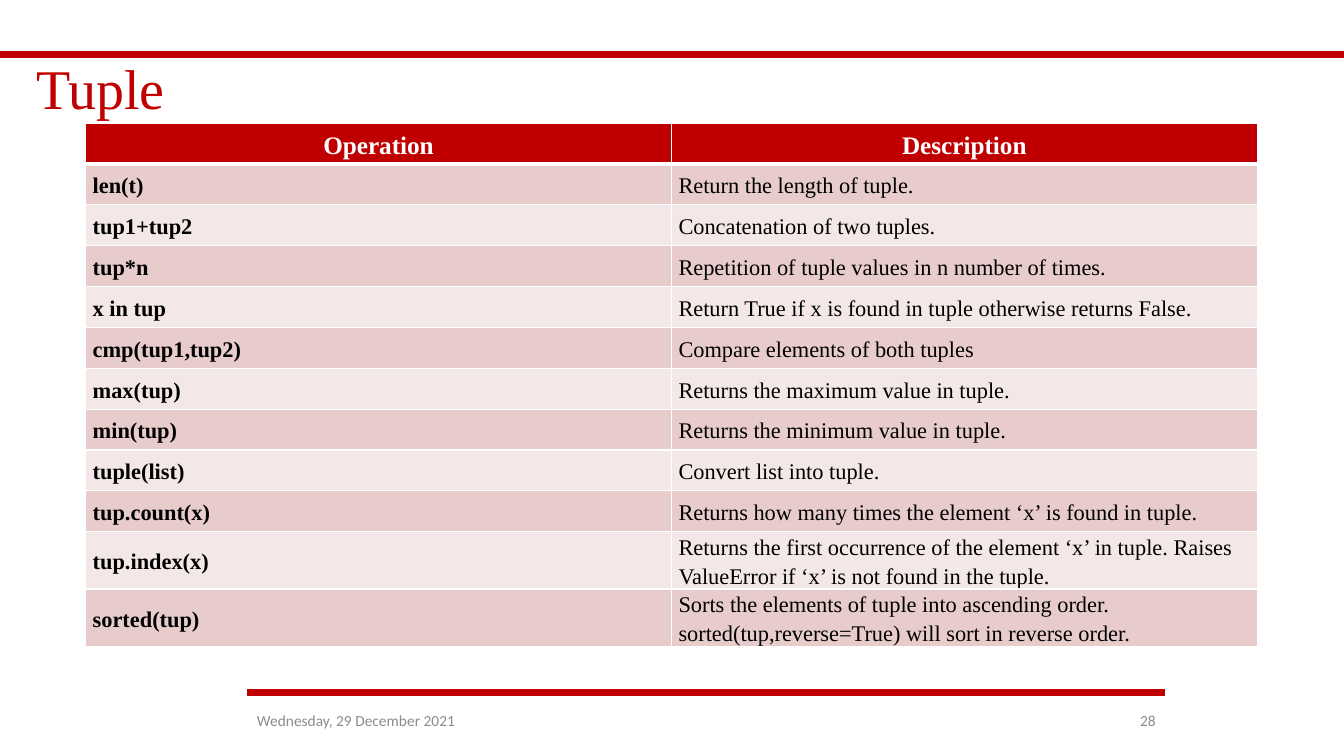
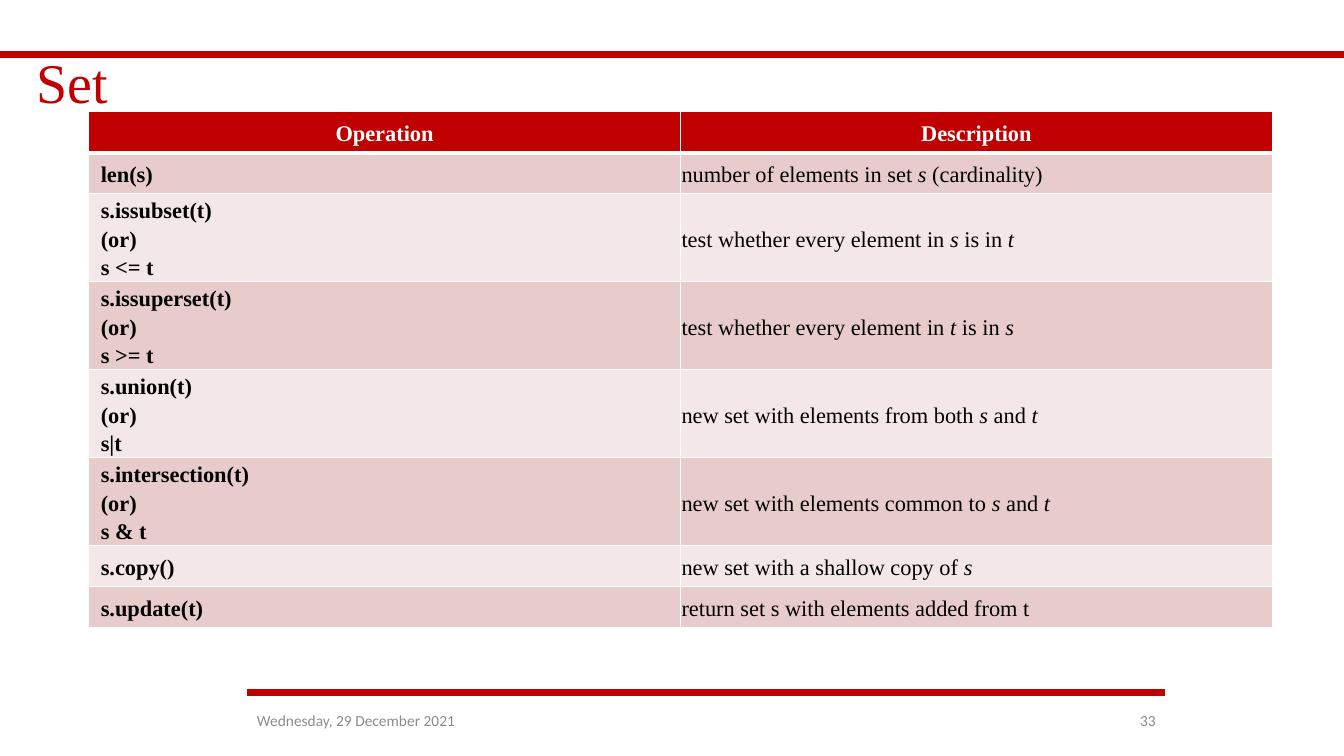
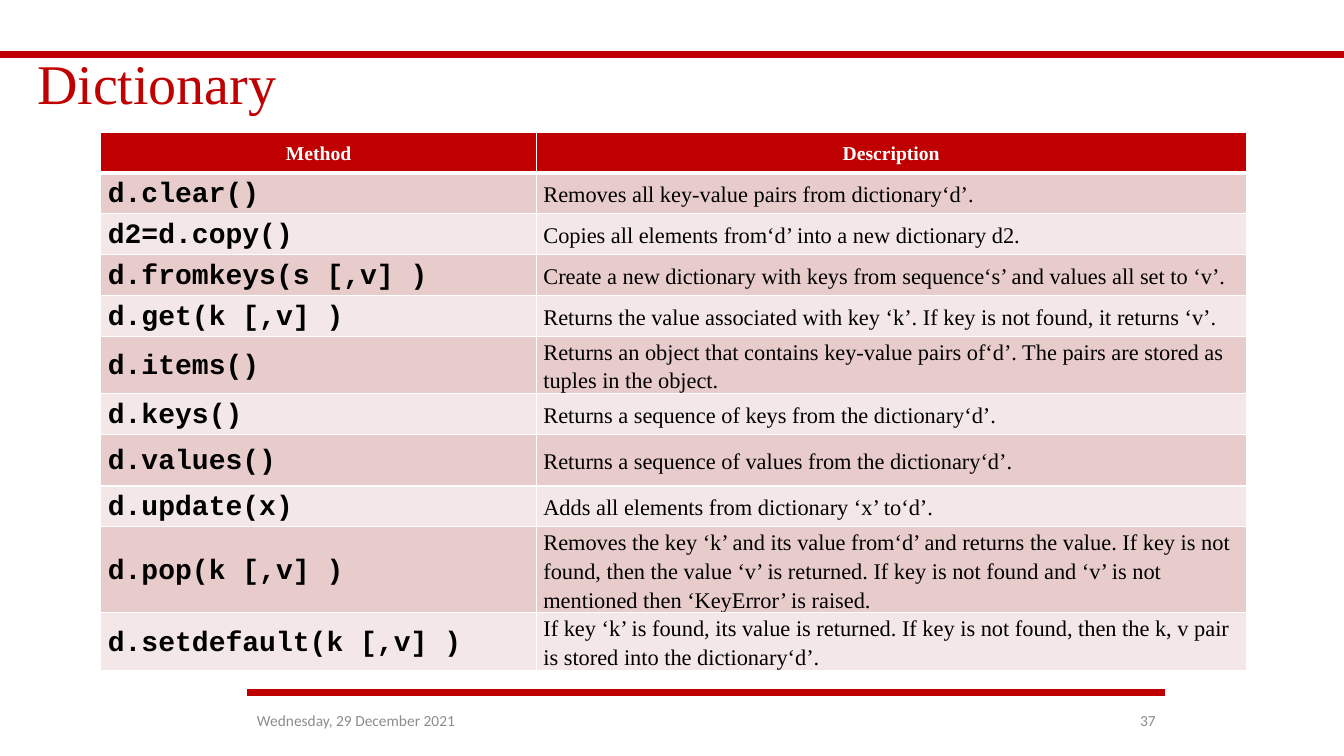
from dataclasses import dataclass

from lxml.etree import SubElement
from pptx import Presentation
from pptx.dml.color import RGBColor
from pptx.enum.shapes import MSO_CONNECTOR as Connector
from pptx.enum.text import MSO_ANCHOR as Anchor, PP_ALIGN as Align
from pptx.oxml.ns import qn
from pptx.util import Inches, Pt


@dataclass(frozen=True)
class Theme:
    accent: str = "C00000"
    white: str = "FFFFFF"
    black: str = "000000"
    grey: str = "8C8C8C"
    bands: tuple = ("E8CCCC", "F4E7E7")
    serif: str = "Times New Roman"
    sans: str = "Calibri"
    mono: str = "Courier New"
    title_size: int = 40
    code_size: int = 20
    body_size: int = 16
    footer_size: int = 11
    rule_width: float = 4.5
    border: int = 1
    header_border: int = 3
    row_height: float = 7.3 / 18
    cell_leading: float = 1.28


@dataclass(frozen=True)
class Column:
    width: float
    font: str = Theme.serif
    size: int = Theme.body_size
    bold: bool = False
    align: Align = Align.LEFT
    margins: tuple = (0.07, 0, 0.07, 0)


class Deck:
    def __init__(self, theme):
        self.theme = theme
        self.presentation = Presentation()
        self.presentation.slide_width = Inches(13.33)
        self.presentation.slide_height = Inches(7.5)
        self.slide = None

    def add_slide(self, title, number, left, top):
        theme = self.theme
        self.slide = self.presentation.slides.add_slide(self.presentation.slide_layouts[6])
        self.rule(0, 13.33, 0.54)
        self.rule(2.45, 11.55, 6.87)
        self.text(title, left, top, 12.81, 1.28, theme.serif, theme.title_size, theme.accent, spacing=0.9)
        footer = (theme.sans, theme.footer_size, theme.grey)
        self.text("Wednesday, 29 December 2021", 2.45, 6.95, 2.25, 0.4, *footer)
        self.text(str(number), 10.77, 6.95, 0.79, 0.4, *footer, align=Align.RIGHT)

    def rule(self, start, end, y):
        line = self.slide.shapes.add_connector(
            Connector.STRAIGHT, Inches(start), Inches(y), Inches(end), Inches(y))
        line.line.color.rgb = RGBColor.from_string(self.theme.accent)
        line.line.width = Pt(self.theme.rule_width)
        SubElement(line._element.spPr, qn("a:effectLst"))

    def text(self, text, left, top, width, height, font, size, color, align=Align.LEFT, spacing=1.0):
        box = self.slide.shapes.add_textbox(Inches(left), Inches(top), Inches(width), Inches(height))
        frame = box.text_frame
        frame.word_wrap = True
        frame.vertical_anchor = Anchor.MIDDLE
        self.fill_text(frame, text, font, size, color, False, align, spacing)

    def fill_text(self, frame, text, font, size, color, bold, align, spacing):
        frame.text = text
        for paragraph in frame.paragraphs:
            pieces = paragraph.text.split("_")
            paragraph.text = pieces[0]
            for piece in filter(None, pieces[1:]):
                paragraph.add_run().text = piece
            paragraph.alignment = align
            paragraph.line_spacing = spacing
            for index, run in enumerate(paragraph.runs):
                run.font.name = font
                run.font.size = Pt(size)
                run.font.bold = bold
                run.font.italic = index % 2 == 1
                run.font.color.rgb = RGBColor.from_string(color)
            ending = SubElement(paragraph._p, qn("a:endParaRPr"), sz=str(size * 100))
            SubElement(ending, qn("a:latin"), typeface=font)

    def table(self, left, top, columns, headings, header_size, rows, tall_rows=None):
        theme = self.theme
        width = sum(column.width for column in columns)
        height = theme.row_height * (len(rows) + 1)
        frame = self.slide.shapes.add_table(
            len(rows) + 1, len(columns), Inches(left), Inches(top), Inches(width), Inches(height))
        table = frame.table
        table.horz_banding = False
        for index, column in enumerate(columns):
            table.columns[index].width = Inches(column.width)
            header = Column(column.width, size=header_size, bold=True, align=Align.CENTER)
            self.cell(table.cell(0, index), headings[index], header, theme.white, theme.accent,
                      bottom=theme.header_border)
        for number, row in enumerate(rows, 1):
            band = theme.bands[(number - 1) % 2]
            border = theme.header_border if number == 1 else theme.border
            for index, column in enumerate(columns):
                self.cell(table.cell(number, index), row[index], column, theme.black, band, top=border)
        for number, row in enumerate(table.rows):
            row.height = Inches((tall_rows or {}).get(number, theme.row_height))

    def cell(self, cell, text, column, color, fill, top=Theme.border, bottom=Theme.border):
        margins = [Inches(margin) for margin in column.margins]
        cell.margin_left, cell.margin_top, cell.margin_right, cell.margin_bottom = margins
        cell.vertical_anchor = Anchor.MIDDLE
        self.fill_text(cell.text_frame, text, column.font, column.size, color,
                       column.bold, column.align, Pt(column.size * self.theme.cell_leading))
        properties = cell._tc.get_or_add_tcPr()
        side = self.theme.border
        for tag, width in (("a:lnL", side), ("a:lnR", side), ("a:lnT", top), ("a:lnB", bottom)):
            line = SubElement(properties, qn(tag), w=str(Pt(width)))
            solid = SubElement(line, qn("a:solidFill"))
            SubElement(solid, qn("a:srgbClr"), val=self.theme.white)
        cell.fill.solid()
        cell.fill.fore_color.rgb = RGBColor.from_string(fill)


TUPLE_OPERATIONS = [
    ("len(t)", "Return the length of tuple."),
    ("tup1+tup2", "Concatenation of two tuples."),
    ("tup*n", "Repetition of tuple values in n number of times."),
    ("x in tup", "Return True if x is found in tuple otherwise returns False."),
    ("cmp(tup1,tup2)", "Compare elements of both tuples"),
    ("max(tup)", "Returns the maximum value in tuple."),
    ("min(tup)", "Returns the minimum value in tuple."),
    ("tuple(list)", "Convert list into tuple."),
    ("tup.count(x)", "Returns how many times the element ‘x’ is found in tuple."),
    ("tup.index(x)", "Returns the first occurrence of the element ‘x’ in tuple. "
                     "Raises ValueError if ‘x’ is not found in the tuple."),
    ("sorted(tup)", "Sorts the elements of tuple into ascending order. "
                    "sorted(tup,reverse=True) will sort in reverse order."),
]

SET_OPERATIONS = [
    ("len(s)", "number of elements in set _s_ (cardinality)"),
    ("s.issubset(t)\n(or)\ns <= t", "test whether every element in _s_ is in _t_"),
    ("s.issuperset(t)\n(or)\ns >= t", "test whether every element in _t_ is in _s_"),
    ("s.union(t)\n(or)\ns|t", "new set with elements from both _s_ and _t_"),
    ("s.intersection(t)\n(or)\ns & t", "new set with elements common to _s_ and _t_"),
    ("s.copy()", "new set with a shallow copy of _s_"),
    ("s.update(t)", "return set s with elements added from t"),
]

DICTIONARY_METHODS = [
    ("d.clear()", "Removes all key-value pairs from dictionary‘d’."),
    ("d2=d.copy()", "Copies all elements from‘d’ into a new dictionary d2."),
    ("d.fromkeys(s [,v] )", "Create a new dictionary with keys from sequence‘s’ and values all set to ‘v’."),
    ("d.get(k [,v] )", "Returns the value associated with key ‘k’. If key is not found, it returns ‘v’."),
    ("d.items()", "Returns an object that contains key-value pairs of‘d’. "
                  "The pairs are stored as tuples in the object."),
    ("d.keys()", "Returns a sequence of keys from the dictionary‘d’."),
    ("d.values()", "Returns a sequence of values from the dictionary‘d’."),
    ("d.update(x)", "Adds all elements from dictionary ‘x’ to‘d’."),
    ("d.pop(k [,v] )", "Removes the key ‘k’ and its value from‘d’ and returns the value. "
                       "If key is not found, then the value ‘v’ is returned. "
                       "If key is not found and ‘v’ is not mentioned then ‘KeyError’ is raised."),
    ("d.setdefault(k [,v] )", "If key ‘k’ is found, its value is returned. "
                              "If key is not found, then the k, v pair is stored into the dictionary‘d’."),
]


def main():
    theme = Theme()
    deck = Deck(theme)
    operation_headings = ("Operation", "Description")

    deck.add_slide("Tuple", 28, 0.26, 0.27)
    deck.table(0.85, 1.22, (Column(5.81, bold=True), Column(5.81)),
               operation_headings, 18, TUPLE_OPERATIONS)

    deck.add_slide("Set", 33, 0.26, 0.21)
    set_columns = (
        Column(5.87, bold=True, margins=(0.12, 0.01, 0.01, 0.01)),
        Column(5.87, align=Align.JUSTIFY, margins=(0.01, 0.01, 0.01, 0.01)),
    )
    deck.table(0.88, 1.11, set_columns, operation_headings, 16, SET_OPERATIONS)

    deck.add_slide("Dictionary", 37, 0.27, 0.22)
    dictionary_columns = (Column(4.32, theme.mono, theme.code_size, bold=True), Column(7.04))
    deck.table(1, 1.31, dictionary_columns, ("Method", "Description"), 14,
               DICTIONARY_METHODS, tall_rows={7: 0.51})

    deck.presentation.save("out.pptx")


if __name__ == "__main__":
    main()
